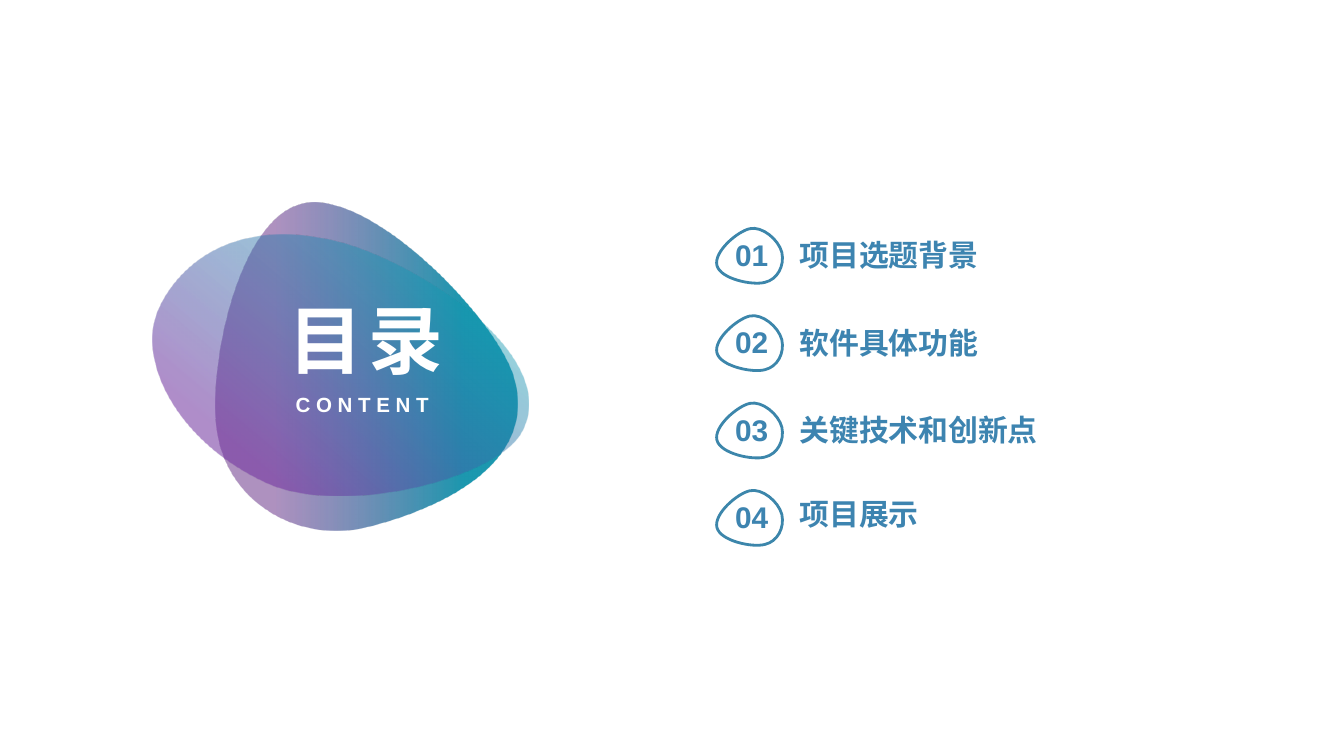
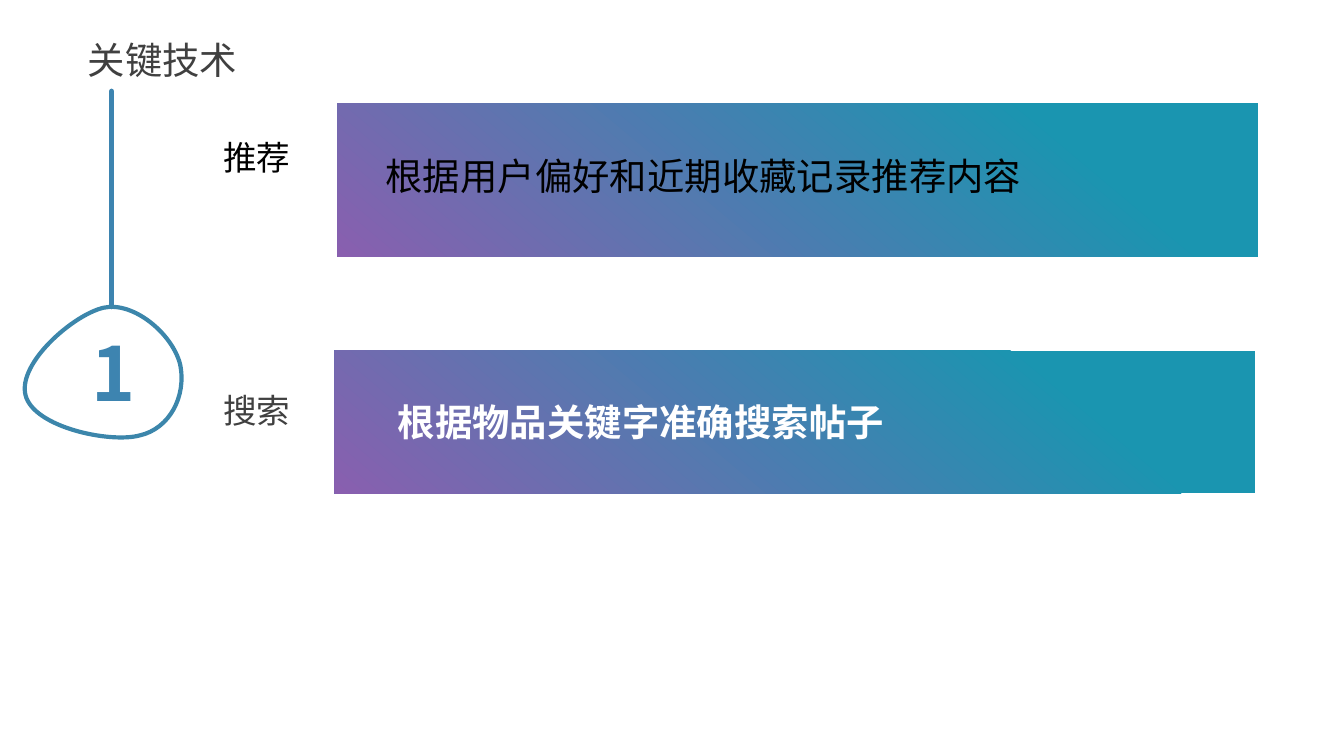
from pptx import Presentation
from pptx.dml.color import RGBColor
from pptx.enum.shapes import MSO_CONNECTOR, MSO_SHAPE
from pptx.enum.text import MSO_ANCHOR, MSO_AUTO_SIZE, PP_ALIGN
from pptx.oxml.ns import qn
from pptx.oxml.xmlchemy import OxmlElement
from pptx.util import Pt

BLUE = "3D84B0"
OUTLINE = "3C86AB"
GREY = "404040"
WHITE = "FFFFFF"
BLACK = "000000"
ARIAL = "Arial"
CALIBRI = "Calibri"
NOTO_SC = "Noto Sans CJK SC"
NOTO_JP = "Noto Sans CJK JP"

BAR_STOPS = [(21, "1A95B0", 100), (100, "895FAF", 100)]
REAR_STOPS = [(23, "1C98AF", 100), (79, "875DA2", 67)]
FRONT_STOPS = [(23, "0BA1B2", 43), (77, "7030A0", 55)]

REAR_BLOB = [
    (117.4, 236.2), (125.3, 270), (160.6, 290.2), (195.8, 282.2),
    (231.1, 273.6), (290.2, 249.8), (275, 200.9),
    (264.2, 168.5), (197.3, 100.8), (162, 109.4),
    (126.7, 117.4), (109.4, 203), (117.4, 236.2),
]
FRONT_BLOB = [
    (85, 166.3), (73.4, 193.7), (95.8, 237.6), (144.7, 259.2),
    (184.3, 275.8), (262.8, 257), (278.6, 232.6),
    (303.8, 190.8), (220.3, 138.2), (178.6, 128.9),
    (118.1, 115.2), (92.2, 149), (85, 166.3),
]
BADGE = [
    (65.5, 72), (81.4, 68.4), (90.7, 51.1), (87.1, 33.8),
    (82.8, 17.3), (61.9, 0), (46.1, 3.6),
    (30.2, 7.2), (0, 33.1), (4.3, 50.4),
    (8.6, 67.7), (49.7, 76.3), (65.5, 72),
]
CONTENTS = [
    ("项目选题背景", 126.7),
    ("软件具体功能", 174.2),
    ("关键技术和创新点", 220.3),
    ("项目展示", 265.7),
]
ROW_PITCH = 46.8


def rgb(value):
    return RGBColor.from_string(value)


def add_run(p, text, size, color, font=ARIAL, bold=False, spacing=0):
    r = p.add_run()
    r.text = text
    r.font.size = Pt(size)
    r.font.name = font
    r.font.bold = bold
    r.font.color.rgb = rgb(color)
    rPr = r.font._element
    if spacing:
        rPr.set("spc", str(spacing * 100))
    ea = OxmlElement("a:ea")
    ea.set("typeface", font if font == NOTO_JP else NOTO_SC)
    rPr.find(qn("a:latin")).addnext(ea)


def set_frame(tf, anchor, wrap=False, grow=False):
    tf.margin_left = tf.margin_right = tf.margin_top = tf.margin_bottom = 0
    tf.word_wrap = wrap
    tf.auto_size = MSO_AUTO_SIZE.SHAPE_TO_FIT_TEXT if grow else MSO_AUTO_SIZE.NONE
    tf.vertical_anchor = anchor


def add_title(s, box, text, size, color, **style):
    sp = s.shapes.title
    sp.left, sp.top, sp.width, sp.height = map(Pt, box)
    set_frame(sp.text_frame, MSO_ANCHOR.MIDDLE)
    p = sp.text_frame.paragraphs[0]
    p.alignment = PP_ALIGN.CENTER
    add_run(p, text, size, color, **style)


def add_text(s, box, text, size, color, wrap=False, **style):
    sp = s.shapes.add_textbox(*map(Pt, box))
    set_frame(sp.text_frame, MSO_ANCHOR.TOP, wrap, grow=True)
    add_run(sp.text_frame.paragraphs[0], text, size, color, **style)


def add_centred_text(s, box, text, size, color, **style):
    sp = s.shapes.add_textbox(*map(Pt, box))
    set_frame(sp.text_frame, MSO_ANCHOR.MIDDLE)
    p = sp.text_frame.paragraphs[0]
    p.alignment = PP_ALIGN.CENTER
    add_run(p, text, size, color, **style)


def fill_gradient(sp, stops, angle):
    sp.fill.gradient()
    sp.fill.gradient_angle = 360 - angle
    for stop, (position, color, _) in zip(sp.fill.gradient_stops, stops):
        stop.position = position / 100
        stop.color.rgb = rgb(color)
    colors = sp._element.spPr.iter(qn("a:srgbClr"))
    for clr, (_, _, opacity) in zip(list(colors), stops):
        if opacity < 100:
            alpha = OxmlElement("a:alpha")
            alpha.set("val", str(opacity * 1000))
            clr.append(alpha)
    sp.line.fill.background()


def add_curve(s, points):
    start, *rest = [(Pt(x), Pt(y)) for x, y in points]
    builder = s.shapes.build_freeform(*start)
    builder.add_line_segments(rest, close=True)
    sp = builder.convert_to_shape()
    sp.shadow.inherit = False
    segments = list(sp._element.iter(qn("a:lnTo")))
    for i in range(0, len(segments), 3):
        bezier = OxmlElement("a:cubicBezTo")
        segments[i].addprevious(bezier)
        for segment in segments[i:i + 3]:
            bezier.append(segment[0])
            segment.getparent().remove(segment)
    return sp


def add_blob(s, points, stops, angle):
    fill_gradient(add_curve(s, points), stops, angle)


def add_badge(s, left, top, scale, weight):
    sp = add_curve(s, [(left + x * scale, top + y * scale) for x, y in BADGE])
    sp.fill.background()
    sp.line.color.rgb = rgb(OUTLINE)
    sp.line.width = Pt(weight)


def add_bar(s, box):
    sp = s.shapes.add_shape(MSO_SHAPE.RECTANGLE, *map(Pt, box))
    sp.shadow.inherit = False
    fill_gradient(sp, BAR_STOPS, 130)


def add_stem(s, x, bottom, top):
    line = s.shapes.add_connector(
        MSO_CONNECTOR.STRAIGHT, Pt(x), Pt(bottom), Pt(x), Pt(top))
    line.line.color.rgb = rgb(BLUE)
    line.line.width = Pt(3)
    spPr = line._element.spPr
    spPr.find(qn("a:ln")).set("cap", "rnd")
    spPr.append(OxmlElement("a:effectLst"))


def build_contents(s):
    add_blob(s, REAR_BLOB, REAR_STOPS, 180)
    add_blob(s, FRONT_BLOB, FRONT_STOPS, 130)
    title = s.shapes.title._element
    title.getparent().append(title)
    add_title(s, (118.1, 128.2, 155.5, 106.6), "目录", 40, WHITE,
              bold=True, spacing=3)
    add_centred_text(s, (147.6, 206, 92.9, 21.6), "CONTENT", 11, WHITE,
                     bold=True, spacing=3)
    for i, (label, label_top) in enumerate(CONTENTS):
        offset = i * ROW_PITCH
        add_badge(s, 382.3, 121 + offset, 0.42, 1.5)
        add_text(s, (393.8, 126.7 + offset, 18, 19.4), f"{i + 1:02d}", 16,
                 BLUE, bold=True)
        add_text(s, (428.4, label_top, 16 * len(label), 19.4), label, 16,
                 BLUE, bold=True)


def build_technology(s):
    add_title(s, (-14.4, 15.1, 203, 33.8), "关键技术", 20, GREY)
    add_stem(s, 59.8, 164.2, 49)
    add_badge(s, 9.4, 161.3, 1, 2.25)
    add_text(s, (49, 175, 13, 48.2), "1", 40, BLUE, font=NOTO_JP, bold=True)
    add_centred_text(s, (97.9, 59.8, 79.2, 49), "推荐", 18, BLACK, font=CALIBRI)
    add_centred_text(s, (97.9, 195.1, 79.2, 49), "搜索", 18, GREY, font=NOTO_SC)
    add_bar(s, (180.7, 55.4, 493.2, 82.1))
    add_bar(s, (179.3, 187.9, 493.2, 76.3))
    add_text(s, (206.6, 82.1, 429.1, 24.5), "根据用户偏好和近期收藏记录推荐内容",
             20, BLACK, wrap=True, font=CALIBRI)
    add_text(s, (213.1, 213.8, 429.1, 24.5), "根据物品关键字准确搜索帖子",
             20, WHITE, wrap=True, font=NOTO_SC, bold=True)


def main():
    prs = Presentation()
    prs.slide_width, prs.slide_height = Pt(720), Pt(405)
    for build in (build_contents, build_technology):
        build(prs.slides.add_slide(prs.slide_layouts[5]))
    prs.save("out.pptx")


if __name__ == "__main__":
    main()
